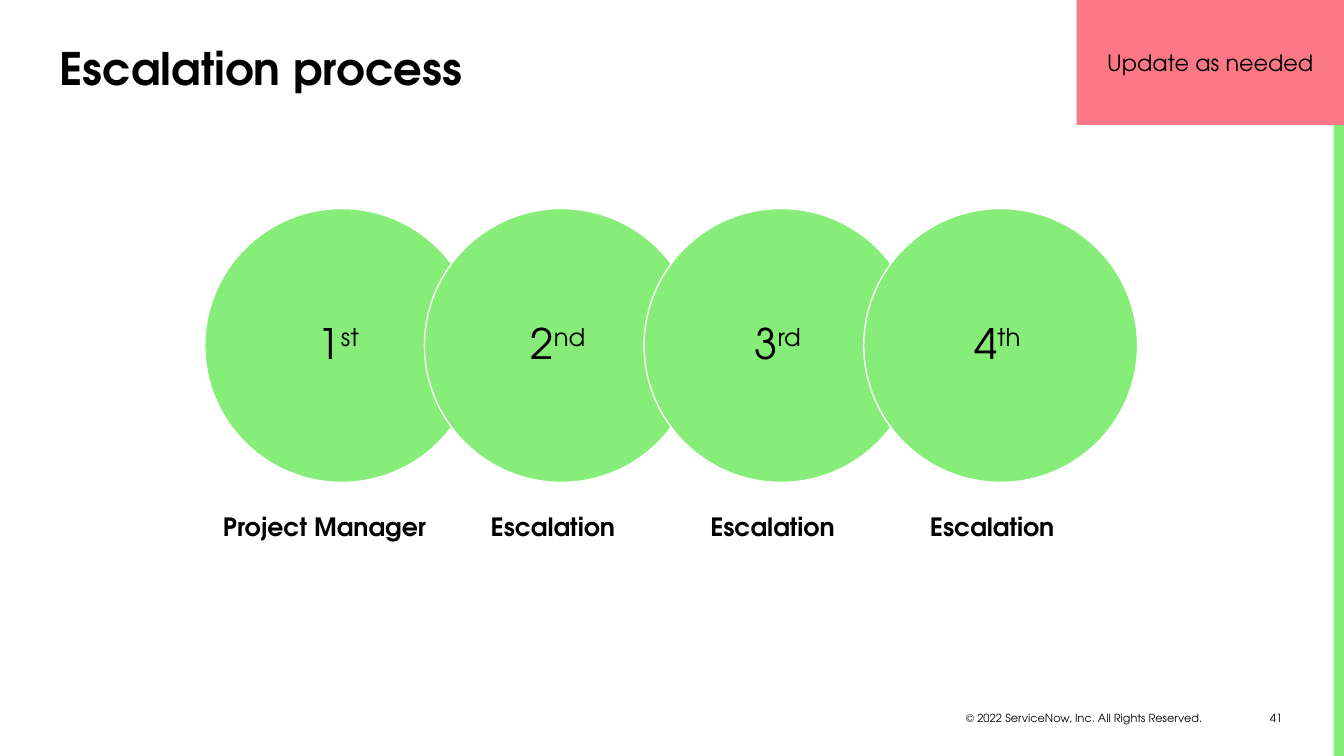
from dataclasses import dataclass

import pptx
import pptx.dml.color
import pptx.enum.shapes
import pptx.enum.text
import pptx.presentation
import pptx.shapes.autoshape
import pptx.slide
import pptx.text.text
import pptx.util

Pt = pptx.util.Pt
Align = pptx.enum.text.PP_ALIGN
Anchor = pptx.enum.text.MSO_ANCHOR
ShapeKind = pptx.enum.shapes.MSO_SHAPE
Color = pptx.dml.color.RGBColor


@dataclass(frozen=True)
class Theme:
    font: str = "TeX Gyre Adventor"
    text: Color = Color(0x00, 0x00, 0x00)
    green: Color = Color(0x86, 0xED, 0x78)
    pink: Color = Color(0xFC, 0x77, 0x86)
    outline: Color = Color(0xFF, 0xFF, 0xFF)
    title_size: float = 32
    rank_size: float = 30
    label_size: float = 18
    callout_size: float = 16
    footer_size: float = 8


@dataclass(frozen=True)
class Box:
    left: float
    top: float
    width: float
    height: float

    def lengths(self) -> tuple[pptx.util.Length, ...]:
        return Pt(self.left), Pt(self.top), Pt(self.width), Pt(self.height)


@dataclass(frozen=True)
class Level:
    number: str
    suffix: str
    label: str
    label_width: float
    label_shift: float = 0


THEME = Theme()
SLIDE_WIDTH, SLIDE_HEIGHT = 960, 540
CIRCLE_LEFT, CIRCLE_TOP, CIRCLE_SIZE, CIRCLE_PITCH = 146.3, 149, 195.6, 156.9
LABEL_TOP, LABEL_HEIGHT = 361.4, 31.7

LEVELS = [
    Level("1", "st ", "Project Manager", 180, -8.7),
    Level("2", "nd ", "Escalation ", 128.2),
    Level("3", "rd ", "Escalation ", 128.2),
    Level("4", "th ", "Escalation ", 128.2),
]


def style(paragraph: pptx.text.text._Paragraph, size: float,
          alignment: Align, bold: bool = False) -> None:
    paragraph.alignment = alignment
    paragraph.font.name = THEME.font
    paragraph.font.size = Pt(size)
    paragraph.font.bold = bold
    paragraph.font.color.rgb = THEME.text


def add_text(slide: pptx.slide.Slide, box: Box, text: str, size: float,
             alignment: Align, bold: bool = False,
             anchor: Anchor = Anchor.TOP) -> pptx.text.text.TextFrame:
    frame = slide.shapes.add_textbox(*box.lengths()).text_frame
    frame.word_wrap = True
    frame.vertical_anchor = anchor
    frame.text = text
    style(frame.paragraphs[0], size, alignment, bold)
    return frame


def add_filled(slide: pptx.slide.Slide, kind: ShapeKind, box: Box,
               fill: Color) -> pptx.shapes.autoshape.Shape:
    shape = slide.shapes.add_shape(kind, *box.lengths())
    shape.shadow.inherit = False
    shape.fill.solid()
    shape.fill.fore_color.rgb = fill
    shape.line.fill.background()
    shape.text_frame.vertical_anchor = Anchor.MIDDLE
    return shape


def add_level(slide: pptx.slide.Slide, index: int, level: Level) -> None:
    """Draw one escalation circle with its rank, and the label below it."""
    left = CIRCLE_LEFT + index * CIRCLE_PITCH
    box = Box(left, CIRCLE_TOP, CIRCLE_SIZE, CIRCLE_SIZE)
    circle = add_filled(slide, ShapeKind.OVAL, box, THEME.green)
    circle.line.color.rgb = THEME.outline
    circle.line.width = Pt(1)
    paragraph = circle.text_frame.paragraphs[0]
    paragraph.line_spacing = 0.9
    paragraph.space_after = Pt(10.5)
    style(paragraph, THEME.rank_size, Align.CENTER)
    paragraph.add_run().text = level.number
    suffix = paragraph.add_run()
    suffix.text = level.suffix
    suffix.font._element.set("baseline", "30000")

    label_left = left + (CIRCLE_SIZE - level.label_width) / 2 + level.label_shift
    label_box = Box(label_left, LABEL_TOP, level.label_width, LABEL_HEIGHT)
    frame = add_text(slide, label_box, level.label, THEME.label_size,
                     Align.CENTER, bold=True)
    frame.margin_left = 0


def add_title(slide: pptx.slide.Slide, text: str) -> None:
    title = slide.shapes.title
    title.left, title.top, title.width, title.height = Box(35.3, 25.2, 881.3, 50.4).lengths()
    frame = title.text_frame
    frame.text = text
    frame.word_wrap = True
    frame.auto_size = pptx.enum.text.MSO_AUTO_SIZE.NONE
    frame.vertical_anchor = Anchor.TOP
    style(frame.paragraphs[0], THEME.title_size, Align.LEFT, bold=True)


def add_callout(slide: pptx.slide.Slide, text: str) -> None:
    callout = add_filled(slide, ShapeKind.RECTANGLE, Box(769, 0, 191, 89.3), THEME.pink)
    callout.text_frame.text = text
    style(callout.text_frame.paragraphs[0], THEME.callout_size, Align.CENTER)


def add_footer(slide: pptx.slide.Slide) -> None:
    add_text(slide, Box(625, 504.7, 243.4, 16.6),
             "© 2022 ServiceNow, Inc. All Rights Reserved. ",
             THEME.footer_size, Align.RIGHT, anchor=Anchor.MIDDLE)
    add_text(slide, Box(870.5, 504.7, 52.6, 18), "41", THEME.footer_size, Align.RIGHT)


def main() -> None:
    presentation = pptx.Presentation()
    presentation.slide_width = Pt(SLIDE_WIDTH)
    presentation.slide_height = Pt(SLIDE_HEIGHT)
    slide = presentation.slides.add_slide(presentation.slide_layouts[5])
    add_title(slide, "Escalation process")
    add_footer(slide)
    add_filled(slide, ShapeKind.RECTANGLE, Box(952.6, 0, 7.4, SLIDE_HEIGHT), THEME.green)
    for index, level in enumerate(LEVELS):
        add_level(slide, index, level)
    add_callout(slide, "Update as needed")
    presentation.save("out.pptx")


if __name__ == "__main__":
    main()
